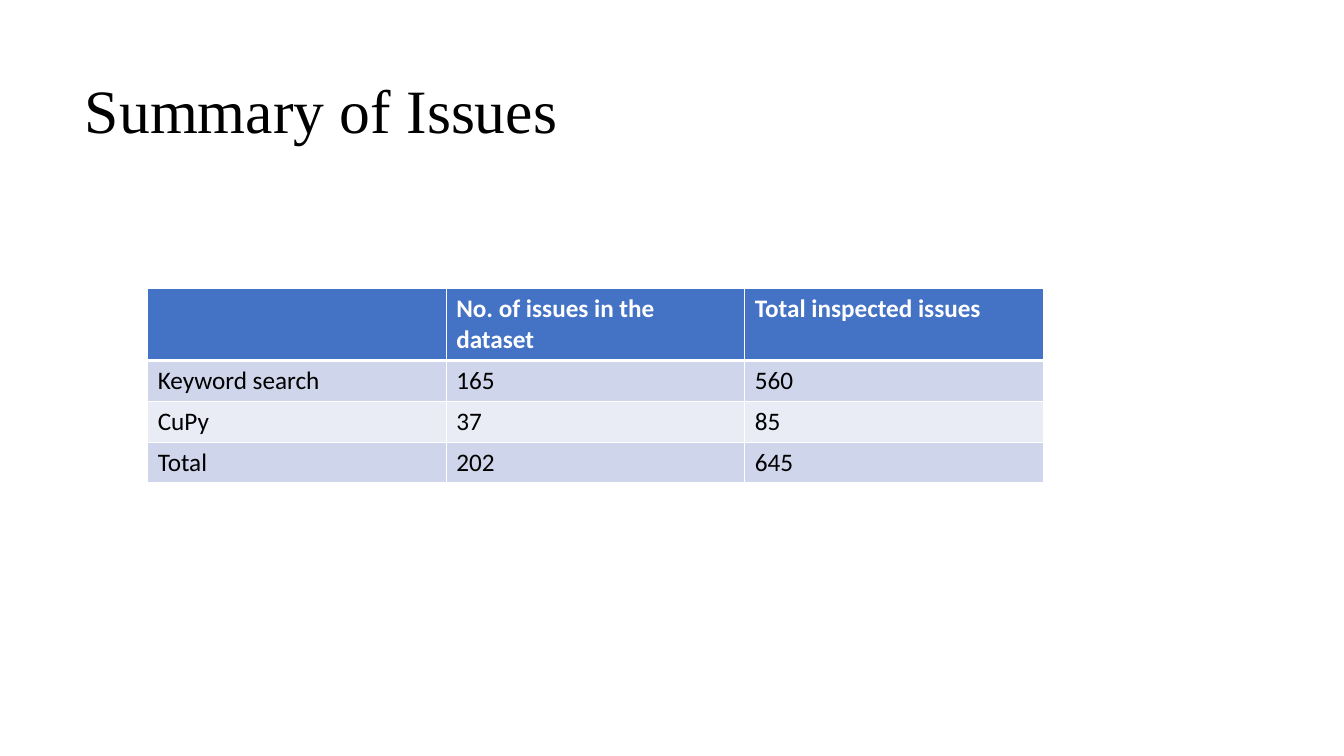
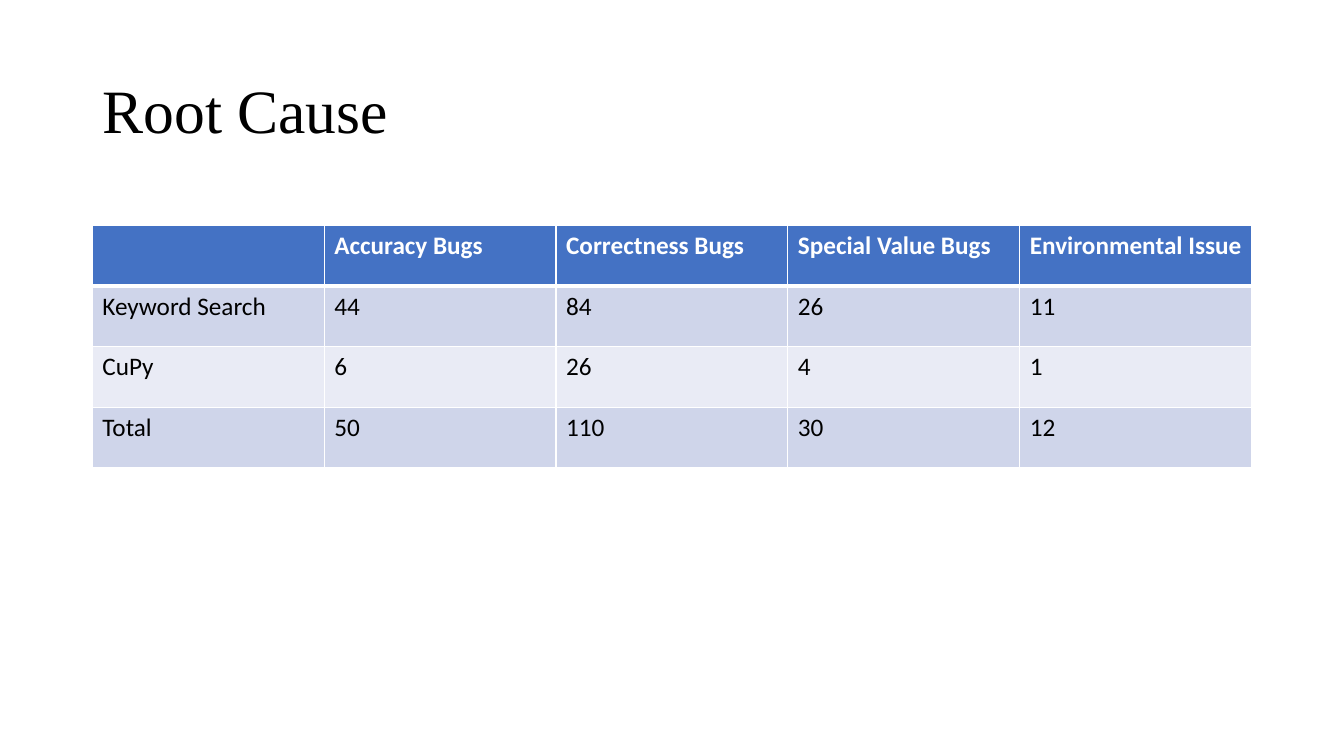
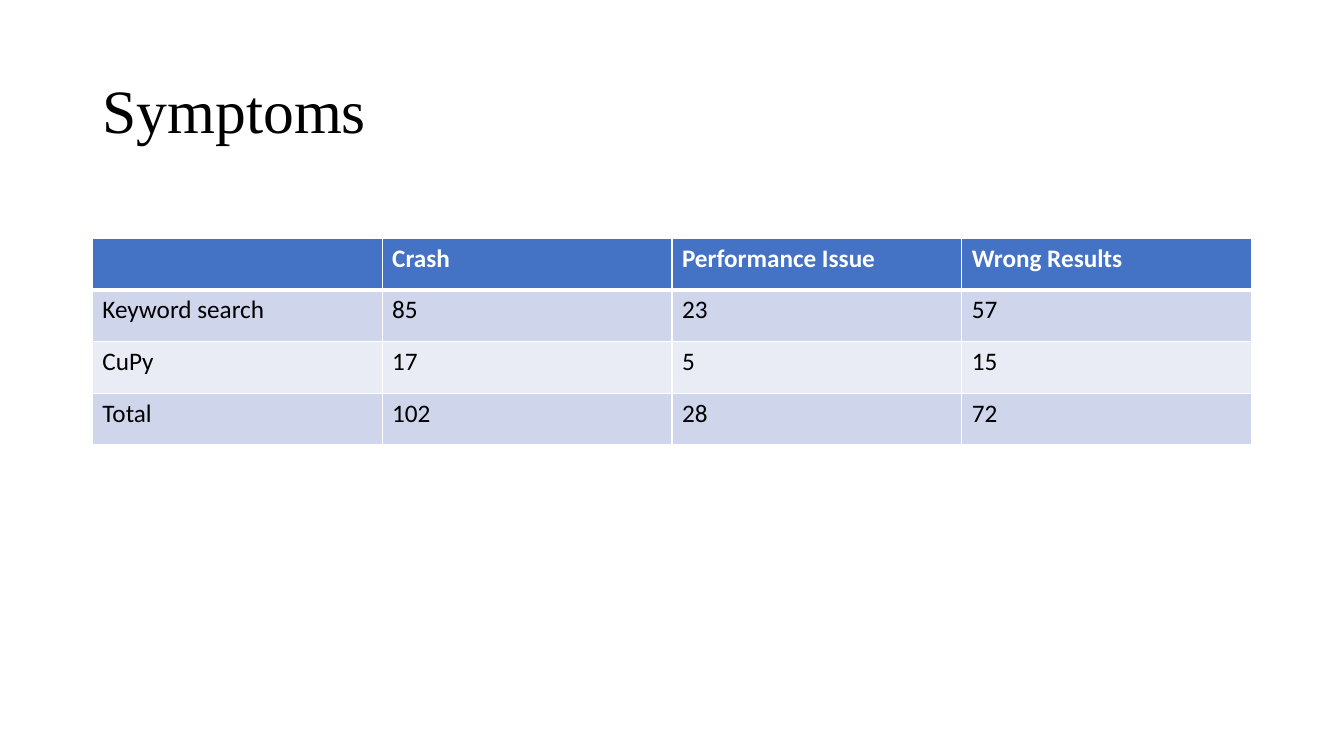
from lxml import etree
from pptx import Presentation
from pptx.dml.color import RGBColor
from pptx.enum import text
from pptx.oxml import ns
from pptx.util import Pt

# Shared style
BLACK, WHITE, HEADER = "000000", "FFFFFF", "4472C4"
BANDS = ["CFD5EA", "E9EBF5"]
TITLE_FONT, BODY_FONT = "Times New Roman", "Calibri"
TITLE_TOP, TITLE_HEIGHT, RIGHT_EDGE = 28.8, 104.4, 894

# Title, title left, table left, table top, column width, row heights, rows
tables = [
    ("Summary of Issues", 53.5, 105.5, 206.3, 213.25, [50.4, 29.2, 29.2, 29.2], [
        ["", "No. of issues in the dataset", "Total inspected issues"],
        ["Keyword search", "165", "560"],
        ["CuPy", "37", "85"],
        ["Total", "202", "645"]]),
    ("Root Cause", 66, 66, 161.3, 165.6, [43.2] * 4, [
        ["", "Accuracy Bugs", "Correctness Bugs", "Special Value Bugs", "Environmental Issue"],
        ["Keyword Search", "44", "84", "26", "11"],
        ["CuPy", "6", "26", "4", "1"],
        ["Total", "50", "110", "30", "12"]]),
    ("Symptoms", 66, 66, 170.2, 207, [36.9] * 4, [
        ["", "Crash", "Performance Issue", "Wrong Results"],
        ["Keyword search", "85", "23", "57"],
        ["CuPy", "17", "5", "15"],
        ["Total", "102", "28", "72"]]),
]


def write(frame, words, font=BODY_FONT, size=18, color=BLACK, bold=False, spacing=1.0):
    frame.text = words
    paragraph = frame.paragraphs[0]
    paragraph.alignment = text.PP_ALIGN.LEFT
    paragraph.line_spacing = spacing
    style = paragraph.font
    style.name, style.size, style.bold = font, Pt(size), bold
    style.color.rgb = RGBColor.from_string(color)


def add_border(cell, side, width, color=WHITE):
    properties = cell._tc.get_or_add_tcPr()
    line = etree.SubElement(properties, ns.qn("a:ln" + side), w=str(Pt(width)))
    fill = etree.SubElement(line, ns.qn("a:solidFill"))
    etree.SubElement(fill, ns.qn("a:srgbClr"), val=color)


presentation = Presentation()
presentation.slide_width, presentation.slide_height = Pt(960), Pt(540)
title_only = presentation.slide_layouts[5]

for heading, title_left, left, top, column_width, heights, rows in tables:
    slide = presentation.slides.add_slide(title_only)

    # Title
    title = slide.shapes.title
    title.left, title.top = Pt(title_left), Pt(TITLE_TOP)
    title.width, title.height = Pt(RIGHT_EDGE - title_left), Pt(TITLE_HEIGHT)
    title.text_frame.vertical_anchor = text.MSO_ANCHOR.MIDDLE
    title.text_frame.auto_size = text.MSO_AUTO_SIZE.NONE
    write(title.text_frame, heading, font=TITLE_FONT, size=44, spacing=0.9)

    # Table grid
    columns = len(rows[0])
    table = slide.shapes.add_table(len(rows), columns, Pt(left), Pt(top),
                                   Pt(column_width * columns), Pt(sum(heights))).table
    for column in table.columns:
        column.width = Pt(column_width)
    for row, height in zip(table.rows, heights):
        row.height = Pt(height)

    # Cells, with a thick rule under the header
    for row_index, values in enumerate(rows):
        is_header = row_index == 0
        for column_index, value in enumerate(values):
            cell = table.cell(row_index, column_index)
            write(cell.text_frame, value, color=WHITE if is_header else BLACK, bold=is_header)
            add_border(cell, "L", 1)
            add_border(cell, "R", 1)
            add_border(cell, "T", 3 if row_index == 1 else 1)
            add_border(cell, "B", 3 if is_header else 1)
            cell.fill.solid()
            cell.fill.fore_color.rgb = RGBColor.from_string(
                HEADER if is_header else BANDS[(row_index - 1) % 2])

presentation.save("out.pptx")
